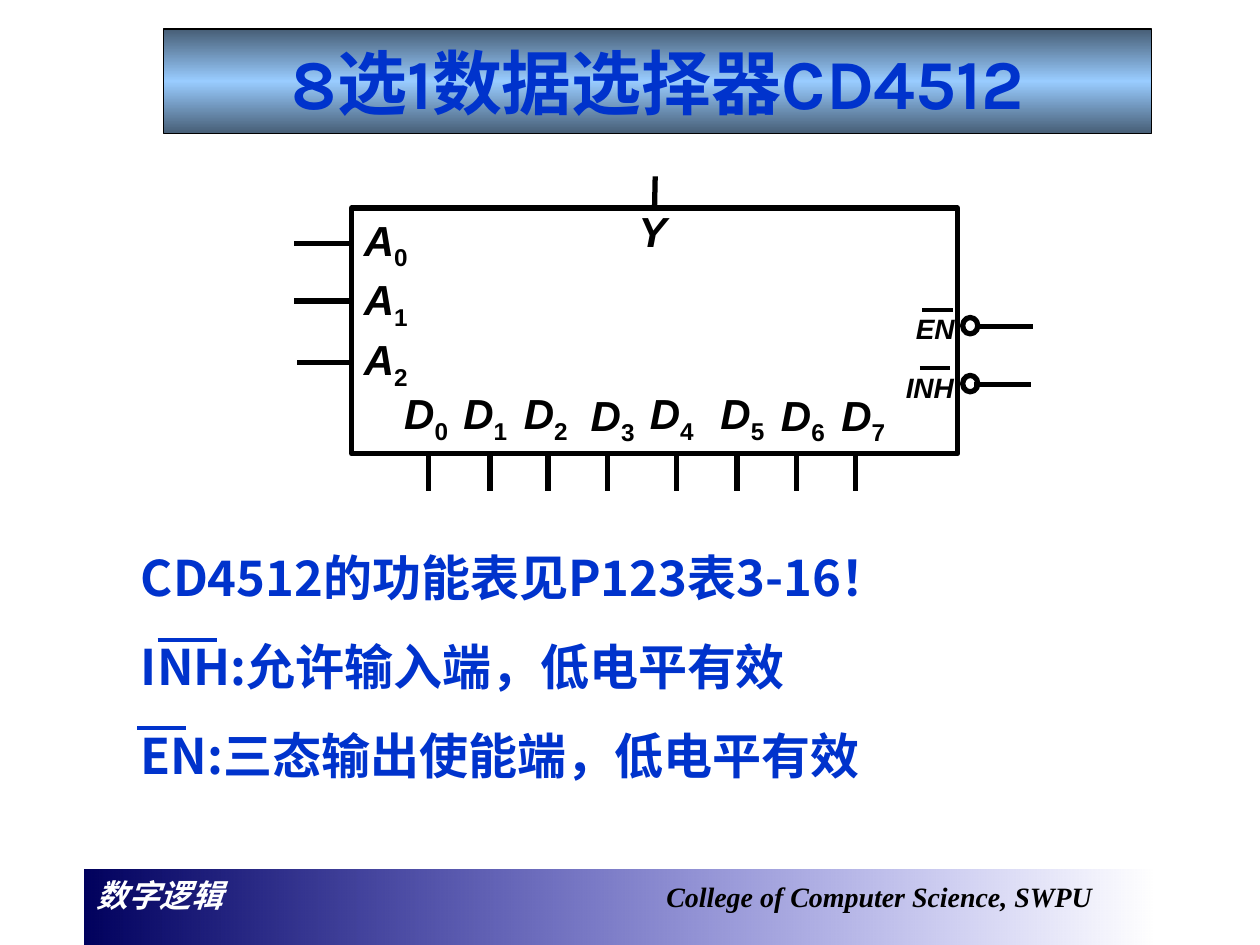
from lxml import etree
from pptx import Presentation
from pptx import util as u
from pptx.dml.color import RGBColor
from pptx.enum import shapes, text
from pptx.oxml.ns import qn

Inches, Pt = u.Inches, u.Pt
COLORS = {"blue": "0033CC", "black": "000000", "white": "FFFFFF",
          "steel": "475E76", "sky": "99CCFF", "navy": "00005E", "royal": "0000CC"}


def add_line(parent, x1, y1, x2, y2, width=3, color="black"):
    line = parent.add_connector(shapes.MSO_CONNECTOR.STRAIGHT, Inches(x1), Inches(y1),
                                Inches(x2), Inches(y2))
    line.line.width = Pt(width)
    line.line.color.rgb = RGBColor.from_string(COLORS[color])
    etree.SubElement(line._element.spPr, qn("a:effectLst"))
    return line


def add_label(parent, x, y, width, name, index="", size=24):
    box = parent.add_textbox(Inches(x), Inches(y), Inches(width), Inches(0.55))
    box.text_frame.word_wrap = True
    paragraph = box.text_frame.paragraphs[0]
    for part in filter(None, (name, index)):
        run = paragraph.add_run()
        run.text = part
        run.font.name, run.font.size, run.font.bold = "Arial", Pt(size), True
        run.font.color.rgb = RGBColor.from_string(COLORS["black"])
        run.font.italic = part == name
        if part == index:
            run._r.get_or_add_rPr().set("baseline", "-25000")


presentation = Presentation()
presentation.slide_width, presentation.slide_height = Inches(10), Inches(7.5)
slide = presentation.slides.add_slide(presentation.slide_layouts[5])

# Footer band: course on the left, college at a tab stop
footer = slide.shapes.add_shape(shapes.MSO_SHAPE.RECTANGLE, Inches(0.67), Inches(6.9),
                                Inches(8.5), Inches(0.7))
footer.shadow.inherit = False
footer.line.fill.background()
footer.text_frame.vertical_anchor = text.MSO_ANCHOR.TOP
paragraph = footer.text_frame.paragraphs[0]
paragraph.alignment = text.PP_ALIGN.LEFT
tabs = etree.SubElement(paragraph._p.get_or_add_pPr(), qn("a:tabLst"))
etree.SubElement(tabs, qn("a:tab"), pos=str(Inches(4.52)), algn="l")
for words, size, color in (("数字逻辑\t", 18, "white"),
                           ("College of Computer Science, SWPU", 16, "black")):
    run = paragraph.add_run()
    run.text = words
    run.font.name, run.font.size = "Times New Roman", Pt(size)
    run.font.bold = run.font.italic = True
    run.font.color.rgb = RGBColor.from_string(COLORS[color])

# Title bar
title = slide.shapes.title
title.left, title.top, title.width, title.height = map(Inches, (1.3, 0.23, 7.84, 0.83))
title.line.color.rgb = RGBColor.from_string(COLORS["black"])
title.line.width = Pt(0.75)
title.text_frame.text = "8选1数据选择器CD4512"
title.text_frame.vertical_anchor = text.MSO_ANCHOR.MIDDLE
paragraph = title.text_frame.paragraphs[0]
paragraph.alignment = text.PP_ALIGN.CENTER
paragraph.font.name, paragraph.font.size, paragraph.font.bold = "Karla", Pt(40), True
paragraph.font.color.rgb = RGBColor.from_string(COLORS["blue"])

# Gradients: position, colour and opacity of each stop, in percent
for shape, angle, stops in (
        (footer, 0, ((0, "navy", 100), (100, "royal", 0))),
        (title, 90, ((0, "steel", 100), (50, "sky", 100), (100, "steel", 100)))):
    shape.fill.gradient()
    shape.fill.gradient_angle = angle
    stop_list = shape._element.spPr.find(qn("a:gradFill")).find(qn("a:gsLst"))
    for old_stop in list(stop_list):
        stop_list.remove(old_stop)
    for position, color, opacity in stops:
        stop = etree.SubElement(stop_list, qn("a:gs"), pos=str(position * 1000))
        value = etree.SubElement(stop, qn("a:srgbClr"), val=COLORS[color])
        if opacity < 100:
            etree.SubElement(value, qn("a:alpha"), val=str(opacity * 1000))

# Chip outline and output Y
chip = slide.shapes.add_group_shape().shapes
body = chip.add_shape(shapes.MSO_SHAPE.RECTANGLE, Inches(2.79), Inches(1.65),
                      Inches(4.81), Inches(1.95))
body.shadow.inherit = False
body.fill.background()
body.line.width = Pt(3)
body.line.color.rgb = RGBColor.from_string(COLORS["black"])
add_line(chip, 5.2, 1.4, 5.2, 1.65).end_connect(body, 0)
add_label(chip, 4.97, 1.58, 1.1, "Y")

# Address inputs
for index, (pin_y, pin_x) in enumerate(((1.93, 2.33), (2.39, 2.33), (2.88, 2.36))):
    add_line(chip, 2.78, pin_y, pin_x, pin_y)
    add_label(chip, 2.79, 1.65 + 0.475 * index, 0.93, "A", str(index))

# Data inputs
pins = (3.4, 3.89, 4.35, 4.82, 5.37, 5.85, 6.32, 6.79)
labels = (3.11, 3.58, 4.06, 4.59, 5.06, 5.62, 6.1, 6.58)
for index, (pin_x, label_x) in enumerate(zip(pins, labels)):
    add_line(chip, pin_x, 3.6, pin_x, 3.9)
    add_label(chip, label_x, 3.04 if index in (3, 6, 7) else 3.03, 0.93, "D", str(index))

# Active-low control inputs
for name, label_x, label_y, width, bar_x, bar_y, pin_x, pin_y in (
        ("EN", 7.17, 2.42, 0.55, 7.32, 2.46, 7.75, 2.59),
        ("INH", 7.09, 2.89, 0.62, 7.3, 2.92, 7.73, 3.05)):
    add_label(chip, label_x, label_y, width, name, size=16)
    add_line(chip, bar_x, bar_y, bar_x + 0.24, bar_y, 2.25)
    add_line(chip, pin_x, pin_y, pin_x + 0.45, pin_y)
    bubble = chip.add_shape(shapes.MSO_SHAPE.OVAL, Inches(7.64), Inches(pin_y - 0.07),
                            Inches(0.12), Inches(0.13))
    bubble.shadow.inherit = False
    bubble.fill.background()
    bubble.line.width = Pt(3)
    bubble.line.color.rgb = RGBColor.from_string(COLORS["black"])

# Notes below the chip
notes = slide.shapes.add_textbox(Inches(1.02), Inches(4.3), Inches(7.01), Inches(1.99))
notes.text_frame.word_wrap = True
notes.text_frame.text = "\n".join(("CD4512的功能表见P123表3-16！",
                                   "INH:允许输入端，低电平有效",
                                   "EN:三态输出使能端，低电平有效"))
for number, paragraph in enumerate(notes.text_frame.paragraphs):
    paragraph.line_spacing = Pt(33.3)
    if number:
        paragraph.space_before = Pt(17.5)
    font = paragraph.font
    font.name, font.size, font.bold = "Noto Sans CJK SC", Pt(28), True
    font.color.rgb = RGBColor.from_string(COLORS["blue"])

# Overlines on INH and EN
add_line(slide.shapes, 1.25, 5.08, 1.72, 5.08, 2.25, "blue")
add_line(slide.shapes, 1.09, 5.78, 1.48, 5.78, 2.25, "blue")

presentation.save("out.pptx")
